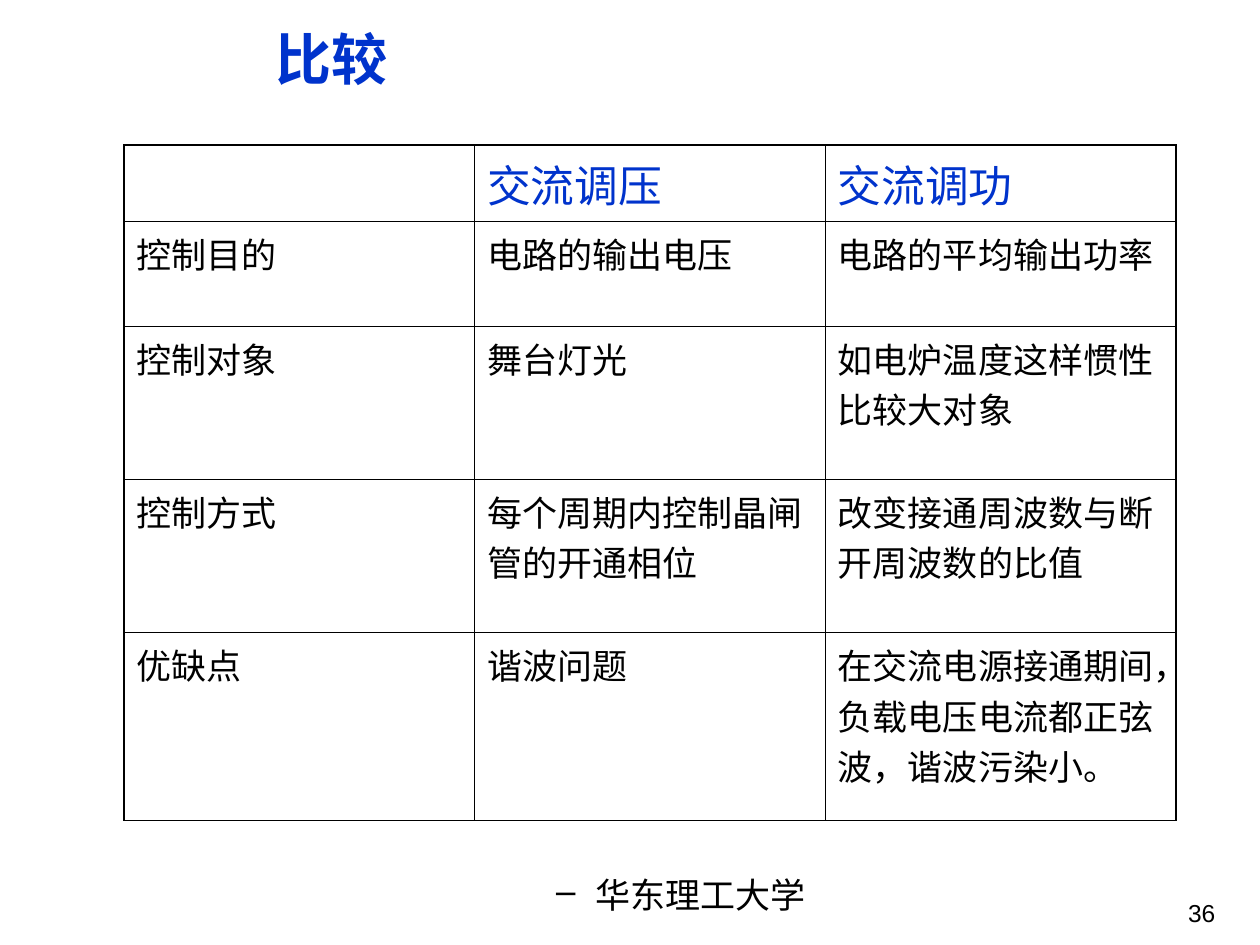
"""Build the slide comparing AC voltage control with AC power control."""
from lxml import etree
from pptx import Presentation
from pptx.dml.color import RGBColor
from pptx.enum.lang import MSO_LANGUAGE_ID
from pptx.enum.shapes import MSO_SHAPE
from pptx.enum.text import MSO_ANCHOR, PP_ALIGN
from pptx.oxml.ns import qn
from pptx.util import Pt

CHINESE = MSO_LANGUAGE_ID.SIMPLIFIED_CHINESE
RECTANGLE = MSO_SHAPE.RECTANGLE
MIDDLE = MSO_ANCHOR.MIDDLE
LEFT, CENTER = PP_ALIGN.LEFT, PP_ALIGN.CENTER
BLACK = RGBColor(0, 0, 0)
WHITE = RGBColor(255, 255, 255)
BLUE = RGBColor(0, 51, 204)
CJK_FONT = "Noto Sans CJK SC"

TITLE = "比较"
ROWS = [
    ("", "交流调压", "交流调功"),
    ("控制目的", "电路的输出电压", "电路的平均输出功率"),
    ("控制对象", "舞台灯光", "如电炉温度这样惯性比较大对象"),
    ("控制方式", "每个周期内控制晶闸管的开通相位", "改变接通周波数与断开周波数的比值"),
    ("优缺点", "谐波问题", "在交流电源接通期间，负载电压电流都正弦波，谐波污染小。"),
]
UNIVERSITY = "华东理工大学"
PAGE_NUMBER = "36"

ROW_HEIGHTS = [37.5, 60, 87.5, 87.5, 107.5]
COLUMN_WIDTH = 200.4
TABLE_LEFT, TABLE_TOP = 70.8, 83
INNER_LINE, OUTER_LINE = 0.45, 1.08

TITLE_FORMAT = {"name": "Times New Roman", "size": Pt(32), "bold": True}
HEADER_FORMAT = {"name": "Times New Roman", "size": Pt(25)}
BODY_FORMAT = {"name": "Times New Roman", "size": Pt(20)}
FOOTER_FORMAT = {"name": CJK_FONT, "size": Pt(20)}
NUMBER_FORMAT = {"name": "Arial", "size": Pt(14)}


def write(frame, text, values, color, align=LEFT):
    para = frame.paragraphs[0]
    para.alignment = align
    span = para.add_run()
    span.text = text
    for name, value in values.items():
        setattr(span.font, name, value)
    span.font.language_id = CHINESE
    span.font.color.rgb = color
    latin = span.font._element.find(qn("a:latin"))
    east_asian = etree.Element(qn("a:ea"), typeface=CJK_FONT)
    latin.addnext(east_asian)
    return para


def set_borders(cell, widths):
    properties = cell._tc.get_or_add_tcPr()
    for index, (side, width) in enumerate(widths.items()):
        line = etree.Element(qn(f"a:ln{side}"), w=str(int(Pt(width))))
        fill = etree.SubElement(line, qn("a:solidFill"))
        etree.SubElement(fill, qn("a:srgbClr"), val=str(BLACK))
        properties.insert(index, line)


def add_title(page):
    title = page.shapes.title
    title.left, title.top, title.width, title.height = Pt(150.5), Pt(0), Pt(606), Pt(66)
    title.text_frame.vertical_anchor = MIDDLE
    write(title.text_frame, TITLE, TITLE_FORMAT, BLUE)


def add_comparison(page):
    row_count, column_count = len(ROWS), len(ROWS[0])
    table = page.shapes.add_table(
        row_count, column_count, Pt(TABLE_LEFT), Pt(TABLE_TOP),
        Pt(COLUMN_WIDTH * column_count), Pt(sum(ROW_HEIGHTS))).table
    table.first_row = table.horz_banding = False
    for column in table.columns:
        column.width = Pt(COLUMN_WIDTH)
    for r, texts in enumerate(ROWS):
        table.rows[r].height = Pt(ROW_HEIGHTS[r])
        values, color = (BODY_FORMAT, BLACK) if r else (HEADER_FORMAT, BLUE)
        for c, text in enumerate(texts):
            cell = table.cell(r, c)
            cell.fill.background()
            edges = {"L": c == 0, "R": c == column_count - 1,
                     "T": r == 0, "B": r == row_count - 1}
            set_borders(cell, {side: OUTER_LINE if outer else INNER_LINE
                               for side, outer in edges.items()})
            if text:
                write(cell.text_frame, text, values, color)


def add_footer(page):
    box = page.shapes.add_shape(RECTANGLE, Pt(252), Pt(485.3), Pt(238.3), Pt(54.7))
    box.shadow.inherit = False
    box.fill.solid()
    box.fill.fore_color.rgb = WHITE
    box.line.fill.background()
    box.text_frame.word_wrap = False
    box.text_frame.vertical_anchor = MIDDLE
    para = write(box.text_frame, UNIVERSITY, FOOTER_FORMAT, BLACK, CENTER)
    para.line_spacing = 0.9
    properties = para._p.get_or_add_pPr()
    properties.set("marL", str(int(Pt(58.5))))
    properties.set("indent", str(int(Pt(-22.5))))
    bullet_color = etree.SubElement(properties, qn("a:buClr"))
    etree.SubElement(bullet_color, qn("a:srgbClr"), val=str(BLACK))
    etree.SubElement(properties, qn("a:buChar"), char="–")


def add_page_number(page):
    box = page.shapes.add_textbox(Pt(671.8), Pt(509.8), Pt(48.2), Pt(18))
    box.text_frame.word_wrap = True
    write(box.text_frame, PAGE_NUMBER, NUMBER_FORMAT, BLACK)


def main():
    deck = Presentation()
    deck.slide_width, deck.slide_height = Pt(720), Pt(540)
    page = deck.slides.add_slide(deck.slide_layouts.get_by_name("Title Only"))
    add_footer(page)
    add_title(page)
    add_comparison(page)
    add_page_number(page)
    deck.save("out.pptx")


if __name__ == "__main__":
    main()
